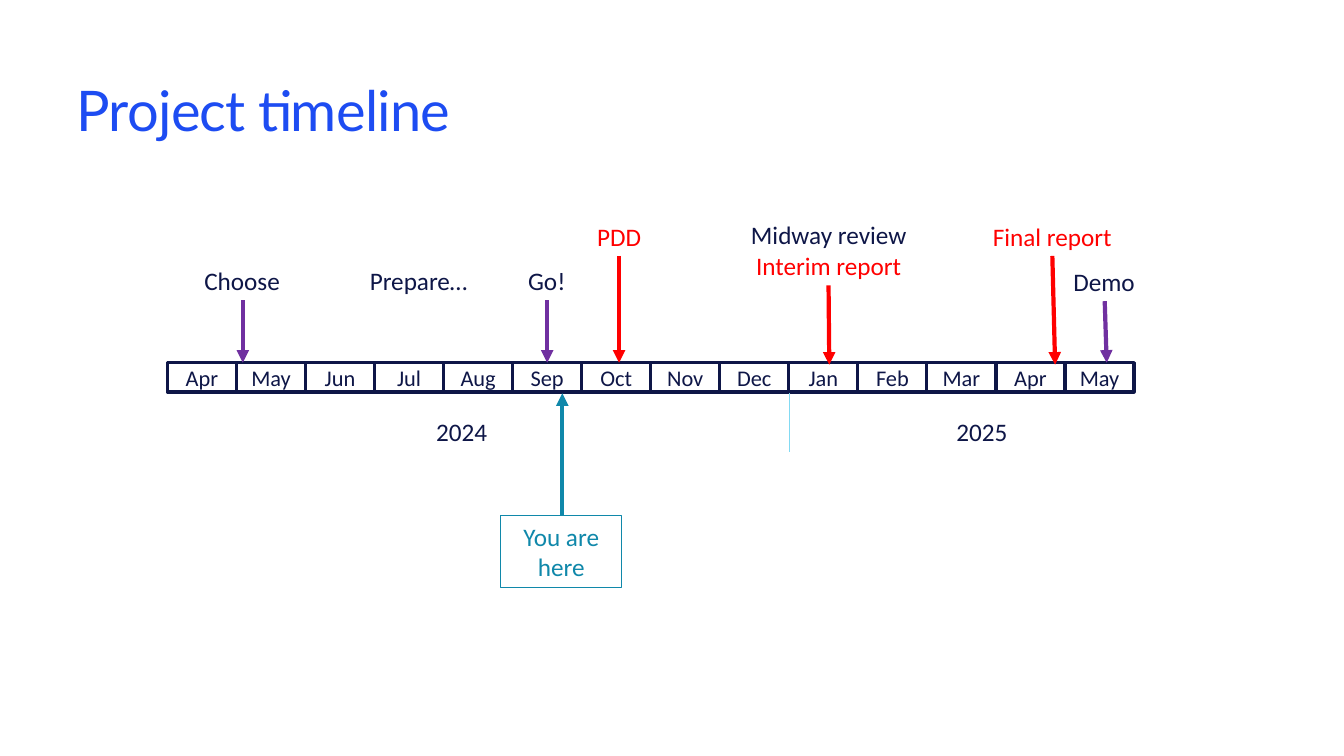
from lxml import etree
from pptx import Presentation
from pptx import util as u
from pptx.dml.color import RGBColor
from pptx.enum import shapes, text
from pptx.oxml.ns import qn

BLUE = RGBColor(0x1D, 0x4C, 0xF2)
NAVY = RGBColor(0x0E, 0x16, 0x47)
RED = RGBColor(0xFF, 0x00, 0x00)
PURPLE = RGBColor(0x70, 0x30, 0xA0)
TEAL = RGBColor(0x10, 0x88, 0xAA)
SKY = RGBColor(0x82, 0xDA, 0xF3)
WHITE = RGBColor(0xFF, 0xFF, 0xFF)

LEFT, CENTER = text.PP_ALIGN.LEFT, text.PP_ALIGN.CENTER
FIT = text.MSO_AUTO_SIZE.SHAPE_TO_FIT_TEXT
MIDDLE = text.MSO_ANCHOR.MIDDLE

MONTHS = "Apr May Jun Jul Aug Sep Oct Nov Dec Jan Feb Mar Apr May".split()
BAR_LEFT, BAR_TOP, BAR_HEIGHT, MONTH_WIDTH = 4.22, 9.14, 0.74, 1.74
BAR_BOTTOM = 9.91
LABEL_HEIGHT = 1.02


class Timeline:
    def __init__(self, page, font="Calibri", size=18):
        self.page, self.font, self.size = page, font, size

    def fill_text(self, box, lines, align=LEFT, frame_format=None, **font_format):
        """Fill a box with (wording, colour) lines."""
        frame = box.text_frame
        for name, value in (frame_format or {}).items():
            setattr(frame, name, value)
        style = {"name": self.font, "size": u.Pt(self.size), **font_format}
        for index, (wording, color) in enumerate(lines):
            para = frame.add_paragraph() if index else frame.paragraphs[0]
            para.alignment = align
            span = para.add_run()
            span.text = wording
            for name, value in style.items():
                setattr(span.font, name, value)
            span.font.color.rgb = color

    def title(self, wording, left, top, width, height):
        box = self.page.shapes.add_textbox(*map(u.Cm, (left, top, width, height)))
        margins = {f"margin_{side}": 0 for side in ("left", "right", "top", "bottom")}
        self.fill_text(box, [(wording, BLUE)], name="Lato", size=u.Pt(40),
                       frame_format={"word_wrap": True, "vertical_anchor": MIDDLE, **margins})
        para = box.text_frame.paragraphs[0]
        para.line_spacing = 0.9
        para.runs[0].font._element.set("spc", "-50")

    def label(self, lines, left, top, width, height=LABEL_HEIGHT, align=LEFT):
        box = self.page.shapes.add_textbox(*map(u.Cm, (left, top, width, height)))
        self.fill_text(box, lines, align, {"word_wrap": False, "auto_size": FIT})

    def box(self, wording, left, top, width, height, color, weight,
            fill=None, size=18, **frame_format):
        box = self.page.shapes.add_shape(
            shapes.MSO_SHAPE.RECTANGLE, *map(u.Cm, (left, top, width, height)))
        box.shadow.inherit = False
        if fill is None:
            box.fill.background()
        else:
            box.fill.solid()
            box.fill.fore_color.rgb = fill
        box.line.color.rgb = color
        box.line.width = u.Pt(weight)
        self.fill_text(box, [(wording, color)], CENTER,
                       {"word_wrap": True, **frame_format}, size=u.Pt(size))

    def line(self, x1, y1, x2, y2, color, weight=3, arrow=True):
        line = self.page.shapes.add_connector(
            shapes.MSO_CONNECTOR.STRAIGHT, *map(u.Cm, (x1, y1, x2, y2)))
        line.line.color.rgb = color
        line.line.width = u.Pt(weight)
        properties = line._element.spPr
        if arrow:
            etree.SubElement(properties.find(qn("a:ln")), qn("a:tailEnd"), type="triangle")
        etree.SubElement(properties, qn("a:effectLst"))


def main():
    deck = Presentation()
    deck.slide_width, deck.slide_height = u.Cm(33.87), u.Cm(19.05)
    timeline = Timeline(deck.slides.add_slide(deck.slide_layouts[6]))

    timeline.title("Project timeline", 1.93, 1.02, 30, 3.68)

    # Month bar
    for index, month in enumerate(MONTHS):
        timeline.box(month, BAR_LEFT + index * MONTH_WIDTH, BAR_TOP, MONTH_WIDTH,
                     BAR_HEIGHT, NAVY, 2.25, WHITE, 16, vertical_anchor=MIDDLE)

    # Milestone and year labels
    for wording, left, top, width, color in (
        ("Choose", 4.9, 6.55, 2.44, NAVY),
        ("Prepare…", 9.07, 6.55, 3.05, NAVY),
        ("Go!", 13.06, 6.55, 1.47, NAVY),
        ("Final report", 24.77, 5.44, 3.53, RED),
        ("Demo", 26.8, 6.58, 2.08, NAVY),
        ("2024", 10.74, 10.36, 2.08, NAVY),
        ("2025", 23.85, 10.36, 2.08, NAVY),
    ):
        timeline.label([(wording, color)], left, top, width)
    timeline.label([("PDD", RED)], 14.68, 5.44, 1.85, align=CENTER)
    timeline.label([("Midway review", NAVY), ("Interim report", RED)],
                   18.47, 5.41, 4.83, 1.8, CENTER)

    # Milestone arrows
    for x1, y1, x2, y2, color in (
        (6.12, 7.57, 6.12, BAR_TOP, PURPLE),
        (13.79, 7.57, 13.79, BAR_TOP, PURPLE),
        (15.6, 6.45, 15.6, BAR_TOP, RED),
        (20.88, 7.19, 20.9, 9.19, RED),
        (26.52, 6.45, 26.59, 9.19, RED),
        (27.84, 7.59, 27.89, BAR_TOP, PURPLE),
    ):
        timeline.line(x1, y1, x2, y2, color)

    # Year divider
    new_year = BAR_LEFT + MONTHS.index("Jan") * MONTH_WIDTH
    timeline.line(new_year, BAR_BOTTOM, new_year, 11.38, SKY, 0.5, arrow=False)

    # Current position
    timeline.line(14.17, 13, 14.17, BAR_BOTTOM, TEAL)
    timeline.box("You are here", 12.62, 13, 3.05, 1.8, TEAL, 0.75,
                 auto_size=FIT, vertical_anchor=text.MSO_ANCHOR.TOP)

    deck.save("out.pptx")


if __name__ == "__main__":
    main()
